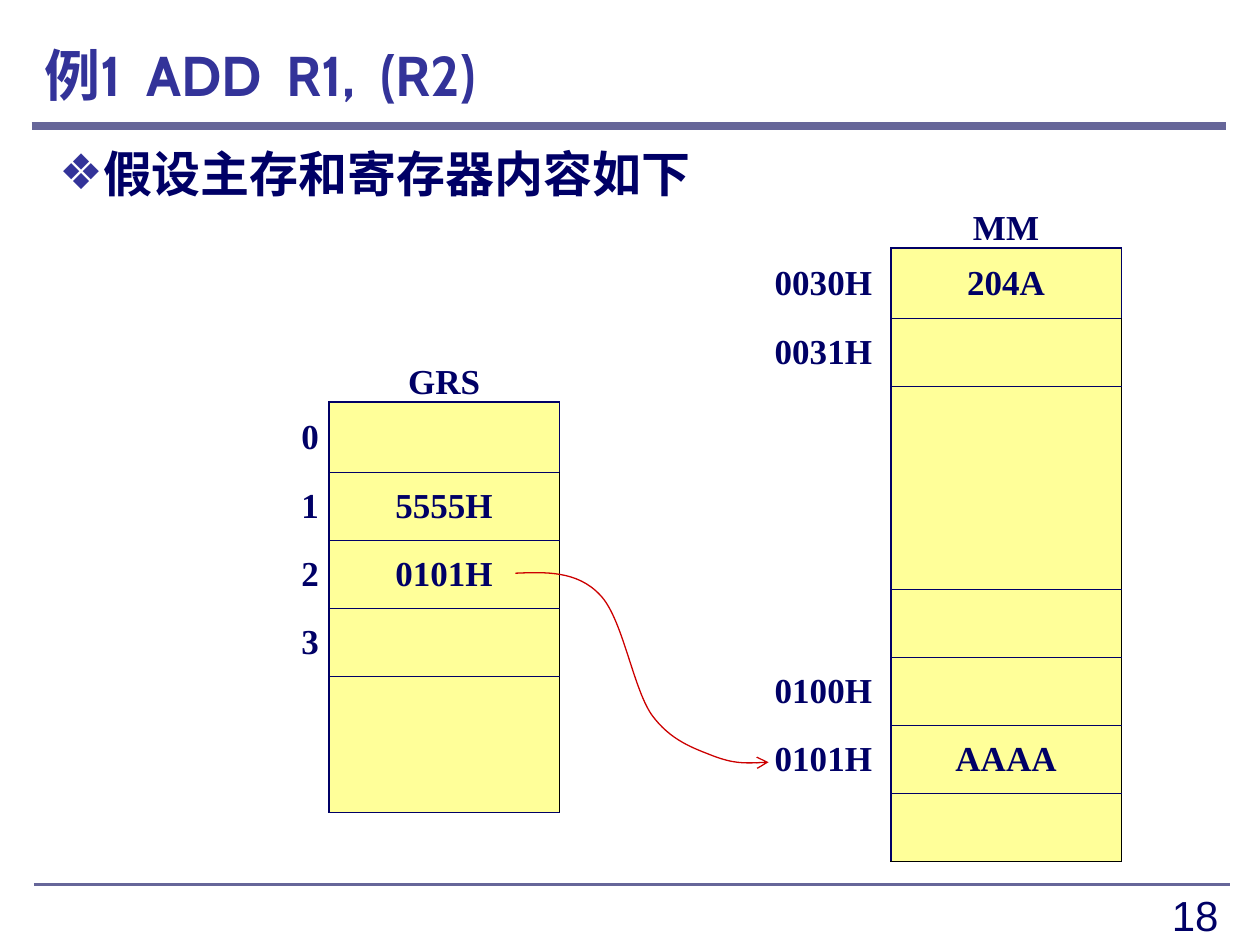
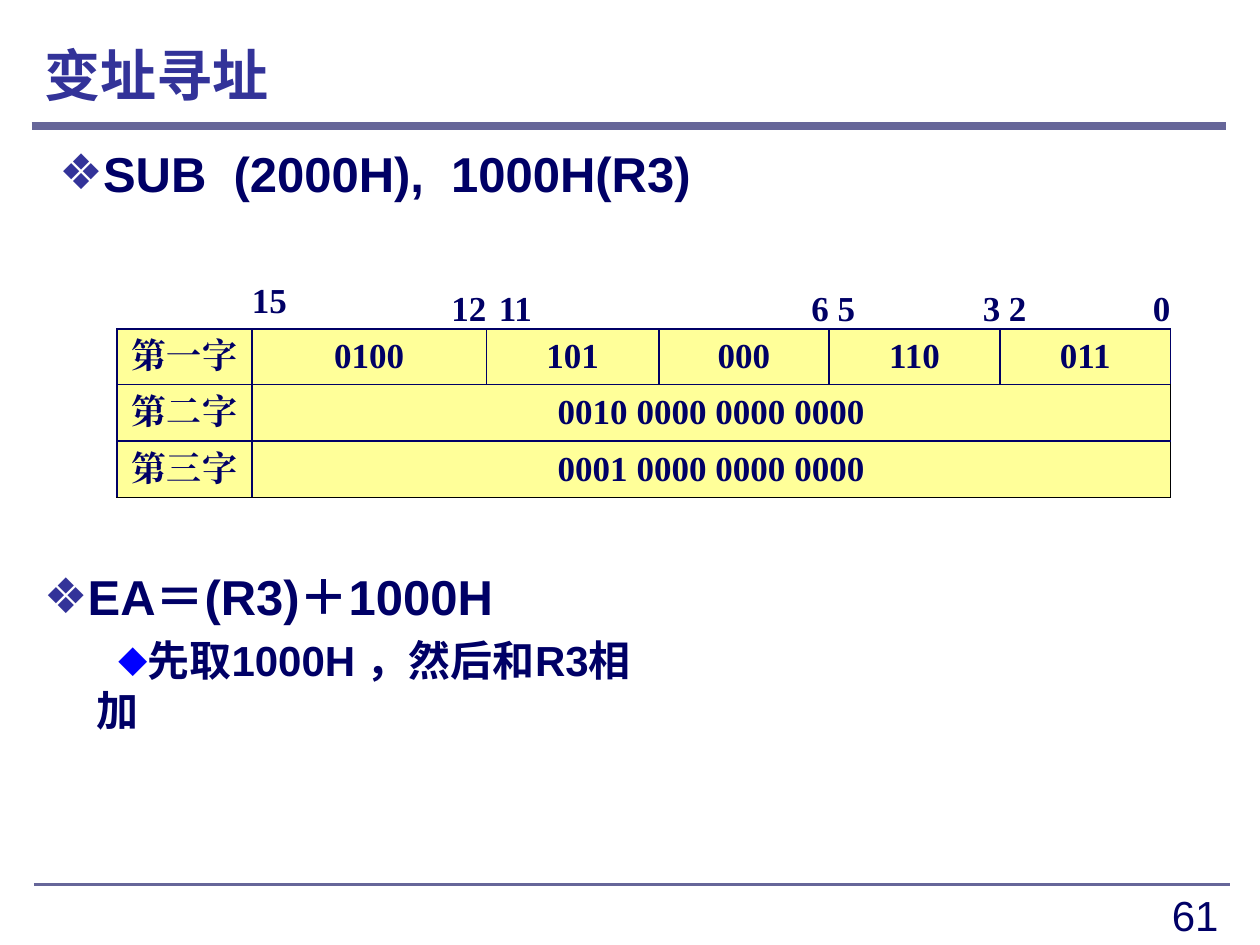
from lxml.etree import SubElement
from pptx import Presentation
from pptx.dml.color import RGBColor
from pptx.enum.shapes import MSO_CONNECTOR
from pptx.enum.text import MSO_ANCHOR as Anchor, MSO_AUTO_SIZE as AutoSize, PP_ALIGN as Align
from pptx.oxml.ns import qn
from pptx.util import Inches, Pt

NAVY = RGBColor(0x00, 0x00, 0x66)
INDIGO = RGBColor(0x33, 0x33, 0x99)
BLUE = RGBColor(0x00, 0x00, 0xFF)
SLATE = RGBColor(0x66, 0x66, 0x99)
YELLOW = RGBColor(0xFF, 0xFF, 0x99)
BLACK = RGBColor(0x00, 0x00, 0x00)
RED = RGBColor(0xCC, 0x00, 0x00)
NO_STYLE_NO_GRID = "{2D5ABB26-0587-4C30-8999-92F81FD0307C}"

# Left, top, width, height
TITLE_AREA = (0.25, 0.25, 9.48, 0.67)
BODY_AREA = (0.25, 1.09, 9.48, 5.97)
NUMBER_AREA = (7.44, 7.01, 2.33, 0.44)
EA_AREA = (0.25, 4.45, 5.13, 2.55)
# Left, right, height, line width
RULES = [(0.25, 9.73, 1, 4.5), (0.27, 9.76, 7.02, 1.5)]

# Bullet, its colour, text size, left margin, first-line indent
BODY_LEVEL = ("❖", INDIGO, 28, 0.12, 0)
TOP_LEVEL = ("❖", INDIGO, 28, 0, 0)
SUB_LEVEL = ("⬥", BLUE, 24, 0.42, 0.17)
EA_LINES = [("EA＝(R3)＋1000H", TOP_LEVEL), ("先取1000H ，然后和R3相加", SUB_LEVEL)]

STORE_COLUMNS = [1.07, 1.83]
MEMORY = [("", "MM"), ("0030H", "204A"), ("0031H", ""), ("", ""), ("", ""),
          ("0100H", ""), ("0101H", "AAAA"), ("", "")]
MEMORY_ROWS = [0.52, 0.56, 0.54, 1.61] + [0.54] * 4
REGISTERS = [("", "GRS"), ("0", ""), ("1", "5555H"), ("2", "0101H"), ("3", ""),
             ("", ""), ("", "")]
REGISTER_ROWS = [0.52, 0.56] + [0.54] * 5

WORD_COLUMNS = [1.07, 0.91, 0.95, 0.55, 0.79, 0.03, 0.56, 0.79, 0.62, 0.74, 0.62, 0.73]
WORD_ROWS = [0.44, 0.44, 0.45, 0.45]
BIT_NUMBERS = ["", "15", "12", "11", "", "", "", "6", "5", "3", "2", "0"]
HIGH_BIT_INDENTS = {1: 0, 3: 0.1, 8: 0.07, 10: 0.07}
FIRST_WORD = [("第一字", 1), ("0100", 2), ("101", 3), ("000", 2), ("110", 2), ("011", 2)]
SECOND_WORD = [("第二字", 1), ("0010 0000 0000 0000", 11)]
THIRD_WORD = [("第三字", 1), ("0001 0000 0000 0000", 11)]

# Start point, then two control points and an end point for each curve
POINTER = [(4.09, 4.55),
           (4.33, 4.54), (4.58, 4.53), (4.76, 4.72),
           (4.94, 4.9), (5.02, 5.45), (5.17, 5.67),
           (5.32, 5.88), (5.51, 5.94), (5.66, 6),
           (5.82, 6.06), (5.96, 6.06), (6.1, 6.05)]


def inches(lengths):
    return [Inches(length) for length in lengths]


def add_span(para, text, size, color, font, bold=True):
    span = para.add_run()
    span.text = text
    span.font.size = Pt(size)
    span.font.bold = bold
    span.font.name = font
    span.font.color.rgb = color
    SubElement(span.font._element, qn("a:ea"), typeface=font)


def place(box, area):
    box.left, box.top, box.width, box.height = inches(area)
    box.text_frame.word_wrap = True
    box.text_frame.auto_size = AutoSize.NONE


def write_bullets(frame, lines):
    for index, (text, (bullet, color, size, margin, indent)) in enumerate(lines):
        para = frame.add_paragraph() if index else frame.paragraphs[0]
        para.alignment = Align.LEFT
        para.space_before = Pt(size * 0.2)
        props = para._p.get_or_add_pPr()
        props.set("marL", str(Inches(margin)))
        props.set("indent", str(Inches(indent)))
        SubElement(SubElement(props, qn("a:buClr")), qn("a:srgbClr"), val=str(color))
        SubElement(props, qn("a:buFont"), typeface="Arial")
        SubElement(props, qn("a:buChar"), char=bullet)
        add_span(para, text, size, NAVY, "Arial")


def add_page(deck, title, heading, number):
    """Add a slide with title, first bullet, both rules and the page number."""
    page = deck.slides.add_slide(deck.slide_layouts[1])
    for left, right, height, weight in RULES:
        rule = page.shapes.add_connector(
            MSO_CONNECTOR.STRAIGHT, *inches((left, height, right, height)))
        rule.line.color.rgb = SLATE
        rule.line.width = Pt(weight)
        SubElement(rule._element.spPr, qn("a:effectLst"))

    title_box, body = page.shapes.title, page.placeholders[1]
    place(title_box, TITLE_AREA)
    title_box.text_frame.vertical_anchor = Anchor.MIDDLE
    para = title_box.text_frame.paragraphs[0]
    para.alignment = Align.LEFT
    add_span(para, title, 32, INDIGO, "Cabin")

    place(body, BODY_AREA)
    write_bullets(body.text_frame, [(heading, BODY_LEVEL)])

    number_box = page.shapes.add_textbox(*inches(NUMBER_AREA))
    place(number_box, NUMBER_AREA)
    para = number_box.text_frame.paragraphs[0]
    para.alignment = Align.RIGHT
    add_span(para, number, 24, NAVY, "Arial", bold=False)
    return page


def add_grid(page, left, top, columns, rows, first_filled=0):
    """Add a table whose cells below row 0, from column first_filled on, are boxed."""
    frame = page.shapes.add_table(len(rows), len(columns),
                                  *inches((left, top, sum(columns), sum(rows))))
    table = frame.table
    table.first_row = table.horz_banding = False
    table._tbl.tblPr.find(qn("a:tableStyleId")).text = NO_STYLE_NO_GRID
    for column, width in zip(table.columns, columns):
        column.width = Inches(width)
    for row, height in zip(table.rows, rows):
        row.height = Inches(height)
    for r in range(len(rows)):
        for c in range(len(columns)):
            cell = table.cell(r, c)
            cell.margin_left = cell.margin_right = cell.margin_top = cell.margin_bottom = 0
            if r > 0 and c >= first_filled:
                box_cell(cell, right=BLACK if r > 1 else NAVY,
                         bottom=BLACK if r == len(rows) - 1 else NAVY)
            else:
                cell.fill.background()
    return table


def box_cell(cell, right, bottom):
    props = cell._tc.get_or_add_tcPr()
    for edge, color in (("lnL", NAVY), ("lnR", right), ("lnT", NAVY), ("lnB", bottom)):
        line = SubElement(props, qn(f"a:{edge}"), w=str(Pt(1)))
        SubElement(SubElement(line, qn("a:solidFill")), qn("a:srgbClr"), val=str(color))
    cell.fill.solid()
    cell.fill.fore_color.rgb = YELLOW


def write_cell(cell, text, align=Align.CENTER, anchor=Anchor.MIDDLE):
    cell.vertical_anchor = anchor
    if text:
        para = cell.text_frame.paragraphs[0]
        para.alignment = align
        add_span(para, text, 20, NAVY, "Times New Roman")


def add_store(page, left, top, rows, content, label_align, label_margin):
    """Add a column of storage cells with a name above and addresses beside it."""
    table = add_grid(page, left, top, STORE_COLUMNS, rows, first_filled=1)
    for r, (label, value) in enumerate(content):
        write_cell(table.cell(r, 0), label, label_align)
        table.cell(r, 0).margin_right = Inches(label_margin)
        write_cell(table.cell(r, 1), value, anchor=Anchor.MIDDLE if r else Anchor.BOTTOM)
    return table


def add_pointer(page, points):
    """Draw an arrow through cubic curves given by their control points."""
    start, *others = [inches(point) for point in points]
    builder = page.shapes.build_freeform(*start)
    builder.add_line_segments(others, close=False)
    arrow = builder.convert_to_shape()
    arrow.shadow.inherit = False
    arrow.fill.background()
    arrow.line.color.rgb = RED
    arrow.line.width = Pt(0.75)
    SubElement(arrow.line._get_or_add_ln(), qn("a:tailEnd"), type="arrow")
    segments = list(arrow._element.iter(qn("a:lnTo")))
    outline = segments[0].getparent()
    for first in range(0, len(segments), 3):
        curve = SubElement(outline, qn("a:cubicBezTo"))
        for segment in segments[first:first + 3]:
            curve.append(segment[0])
            outline.remove(segment)


def add_instruction(page):
    table = add_grid(page, 0.93, 2.17, WORD_COLUMNS, WORD_ROWS)
    for c, number in enumerate(BIT_NUMBERS):
        cell = table.cell(0, c)
        align = Align.LEFT if c in HIGH_BIT_INDENTS else Align.RIGHT
        write_cell(cell, number, align, Anchor.MIDDLE if c == 1 else Anchor.BOTTOM)
        cell.margin_left = Inches(HIGH_BIT_INDENTS.get(c, 0))
    table.cell(0, 5).merge(table.cell(0, 6))
    for r, word in enumerate((FIRST_WORD, SECOND_WORD, THIRD_WORD), start=1):
        c = 0
        for text, width in word:
            if width > 1:
                table.cell(r, c).merge(table.cell(r, c + width - 1))
            write_cell(table.cell(r, c), text)
            c += width


def main():
    deck = Presentation()
    deck.slide_width, deck.slide_height = Inches(10), Inches(7.5)

    page = add_page(deck, "例1  ADD  R1,  (R2)", "假设主存和寄存器内容如下", "18")
    add_store(page, 6, 1.45, MEMORY_ROWS, MEMORY, Align.CENTER, 0)
    registers = add_store(page, 1.54, 2.67, REGISTER_ROWS, REGISTERS, Align.RIGHT, 0.08)
    registers.cell(5, 1).merge(registers.cell(6, 1))
    add_pointer(page, POINTER)

    page = add_page(deck, "变址寻址", "SUB  (2000H),  1000H(R3)", "61")
    ea_box = page.shapes.add_textbox(*inches(EA_AREA))
    place(ea_box, EA_AREA)
    ea_box.text_frame.margin_right = Inches(0.2)
    write_bullets(ea_box.text_frame, EA_LINES)
    add_instruction(page)

    deck.save("out.pptx")


if __name__ == "__main__":
    main()
